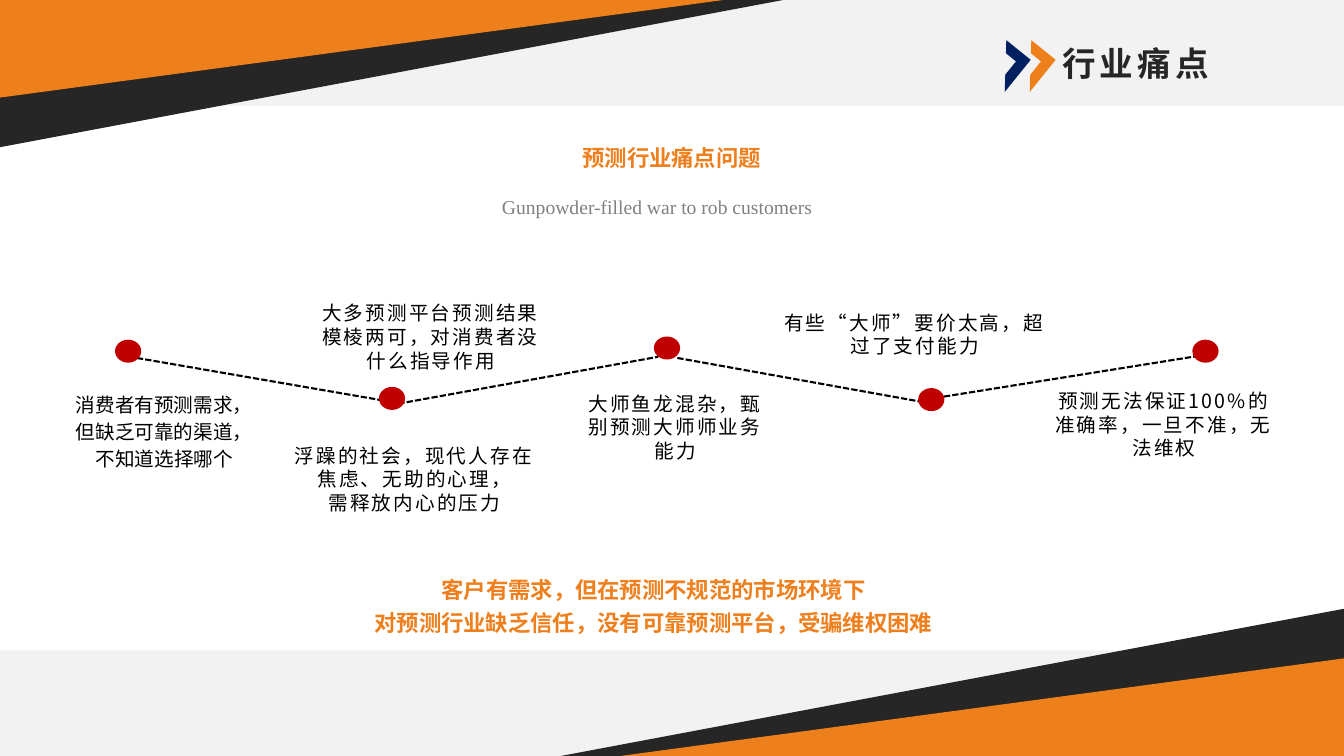
from lxml import etree
from pptx import Presentation
from pptx.dml.color import RGBColor
from pptx.enum.dml import MSO_LINE
from pptx.enum.shapes import MSO_CONNECTOR, MSO_SHAPE
from pptx.enum.text import MSO_ANCHOR, PP_ALIGN
from pptx.oxml.ns import qn
from pptx.util import Cm, Pt

RECTANGLE = MSO_SHAPE.RECTANGLE
TRIANGLE = MSO_SHAPE.RIGHT_TRIANGLE
OVAL = MSO_SHAPE.OVAL
HALF_FRAME = MSO_SHAPE.HALF_FRAME
STRAIGHT = MSO_CONNECTOR.STRAIGHT
DASH = MSO_LINE.SQUARE_DOT
CENTER, LEFT = PP_ALIGN.CENTER, PP_ALIGN.LEFT
TOP, MIDDLE = MSO_ANCHOR.TOP, MSO_ANCHOR.MIDDLE

WIDTH, HEIGHT = 33.87, 19.05
CHINESE_FONT = "Noto Sans CJK SC"
COLORS = {
    "background": "F2F2F2",
    "white": "FFFFFF",
    "dark": "262626",
    "orange": "EE801C",
    "heading": "EE7F1C",
    "red": "C00000",
    "navy": "002060",
    "gray": "808080",
    "black": "000000",
}

# Length and depth of the wedges in the corners, back to front
WEDGES = [(19.74, 3.71, "dark"), (18.24, 2.46, "orange")]
NODES = [(2.9, 8.56), (9.55, 9.75), (16.48, 8.48), (23.14, 9.78), (30.05, 8.56)]
LINKS = [
    ((3.45, 9.02), (9.88, 10.13)),
    ((9.83, 10.21), (16.59, 8.99)),
    ((17.07, 9.02), (23.42, 10.16)),
    ((23.37, 10.06), (30.38, 8.94)),
]
PAIN_POINTS = [
    ((7.62, 7.47, 6.48, 2.06), ["大多预测平台预测结果模棱两可，对消费者没什么指导作用"]),
    ((14.43, 9.75, 5.18, 2.06), ["大师鱼龙混杂，甄别预测大师师业务能力"]),
    ((19.48, 7.7, 7.14, 1.45), ["有些“大师”要价太高，超过了支付能力"]),
    ((26.16, 9.68, 6.35, 2.06), ["预测无法保证100%的准确率，一旦不准，无法维权"]),
    ((6.91, 11.05, 7.06, 2.06), ["浮躁的社会，现代人存在焦虑、无助的心理，", "需释放内心的压力"]),
]


def color(name):
    return RGBColor.from_string(COLORS[name])


def add_filled_shape(slide, kind, box, fill, rotation=0):
    shape = slide.shapes.add_shape(kind, *map(Cm, box))
    shape.shadow.inherit = False
    shape.fill.solid()
    shape.fill.fore_color.rgb = color(fill)
    shape.line.fill.background()
    shape.rotation = rotation


def add_corner_wedges(slide, at_bottom):
    """Lay turned triangles into the top left or the bottom right corner."""
    for length, depth, fill in WEDGES:
        shift = (length - depth) / 2
        left, top = shift, -shift
        if at_bottom:
            left, top = WIDTH - length + shift, HEIGHT - depth - shift
        box = (left, top, depth, length)
        add_filled_shape(slide, TRIANGLE, box, fill, 270 if at_bottom else 90)


def add_dashed_line(slide, start, end):
    line = slide.shapes.add_connector(STRAIGHT, *map(Cm, start + end))
    line.line.color.rgb = color("black")
    line.line.width = Pt(1.5)
    line.line.dash_style = DASH
    etree.SubElement(line._element.spPr, qn("a:effectLst"))


def add_text(slide, box, lines, size=14, fill="black", font=CHINESE_FONT,
             bold=False, align=CENTER, anchor=TOP, line_spacing=1.0,
             letter_spacing=0, wrap=True):
    """Add a text box; letter_spacing is in points."""
    frame = slide.shapes.add_textbox(*map(Cm, box)).text_frame
    frame.word_wrap = wrap
    frame.vertical_anchor = anchor
    frame.text = "\n".join(lines)
    for paragraph in frame.paragraphs:
        paragraph.alignment = align
        paragraph.line_spacing = line_spacing
        paragraph.font.size = Pt(size)
        paragraph.font.bold = bold
        paragraph.font.name = font
        paragraph.font.color.rgb = color(fill)
        for run in paragraph.runs:
            properties = run._r.get_or_add_rPr()
            properties.set("lang", "zh-CN")
            if letter_spacing:
                properties.set("spc", str(round(letter_spacing * 100)))
            east_asian = etree.SubElement(properties, qn("a:ea"))
            east_asian.set("typeface", CHINESE_FONT)


def add_title(slide):
    add_text(slide, (26.52, 0.61, 5.66, 1.96), ["行业痛点"], size=24, fill="dark",
             font="Arial", bold=True, align=LEFT, anchor=MIDDLE, letter_spacing=3)
    for left, fill in [(24.82, "navy"), (25.45, "orange")]:
        add_filled_shape(slide, HALF_FRAME, (left, 1.27, 1.04, 0.79), fill, 129)


def add_headings(slide):
    add_text(slide, (8.46, 3.38, 16.94, 1.96), ["预测行业痛点问题"], size=16,
             fill="heading", bold=True, line_spacing=1.2)
    add_text(slide, (12.4, 4.78, 8.84, 0.86), ["Gunpowder-filled war to rob customers"],
             fill="gray", font="Times New Roman", align=LEFT, wrap=False)
    conclusion = [
        "客户有需求，但在预测不规范的市场环境下",
        "对预测行业缺乏信任，没有可靠预测平台，受骗维权困难",
    ]
    add_text(slide, (5.64, 14.27, 21.67, 3.33), conclusion, size=16,
             fill="heading", bold=True, line_spacing=1.2)


def add_timeline(slide):
    for start, end in LINKS:
        add_dashed_line(slide, start, end)
    for left, top in NODES:
        add_filled_shape(slide, OVAL, (left, top, 0.66, 0.58), "red")
    add_text(slide, (1.45, 9.68, 5.38, 2.31),
             ["消费者有预测需求，但缺乏可靠的渠道，不知道选择哪个"], line_spacing=1.15)
    for box, lines in PAIN_POINTS:
        add_text(slide, box, lines, letter_spacing=1.5)


def main():
    presentation = Presentation()
    presentation.slide_width = Cm(WIDTH)
    presentation.slide_height = Cm(HEIGHT)
    slide = presentation.slides.add_slide(presentation.slide_layouts[6])
    slide.background.fill.solid()
    slide.background.fill.fore_color.rgb = color("background")
    add_filled_shape(slide, RECTANGLE, (0, 2.67, WIDTH, 13.72), "white")
    add_corner_wedges(slide, at_bottom=False)
    add_corner_wedges(slide, at_bottom=True)
    add_timeline(slide)
    add_headings(slide)
    add_title(slide)
    presentation.save("out.pptx")


if __name__ == "__main__":
    main()
